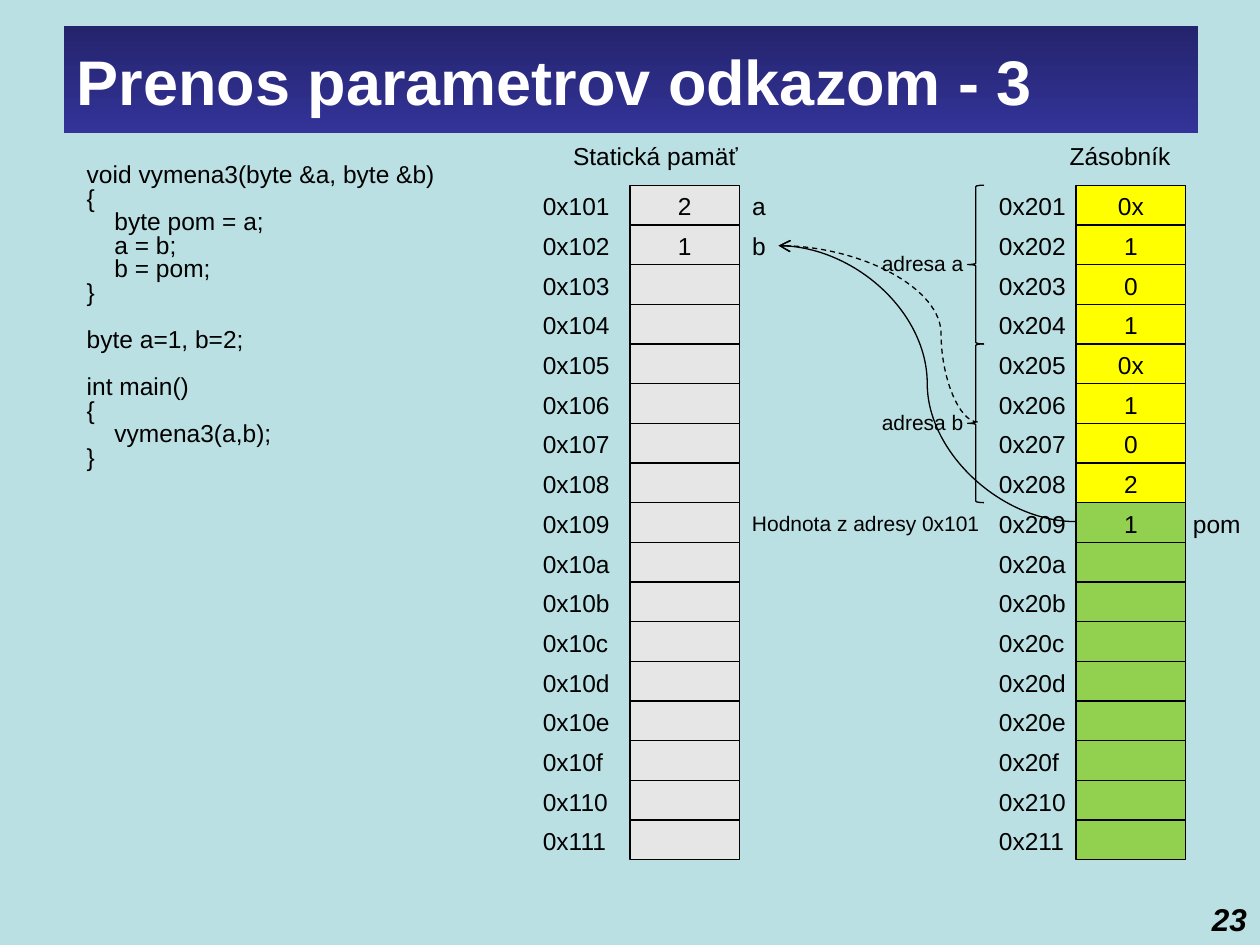
from lxml import etree
from pptx import Presentation
from pptx import util as u
from pptx.dml import color
from pptx.enum import dml, shapes, text
from pptx.oxml import ns

COLORS = {
    "background": "BBE0E3", "title_top": "24246D", "title_bottom": "333399",
    "white": "FFFFFF", "black": "000000",
    "static": "E6E6E6", "address": "FFFF00", "free": "92D050",
}
ROWS = 17
ROW_HEIGHT = 0.315
MEMORY_TOP = 1.07
CELLS_OFFSET = 0.4
CODE = [
    ("void vymena3(byte &a, byte &b)", 0, 0),
    ("{", 0, 0),
    ("byte pom = a;", 1, 0),
    ("a = b;", 1, 0),
    ("b = pom;", 1, 0),
    ("}", 0, 0),
    ("byte a=1, b=2;", 0, 1),
    ("int main()", 0, 1),
    ("{", 0, 0),
    ("vymena3(a,b);", 1, 0),
    ("}", 0, 0),
]


def rgb(name):
    return color.RGBColor.from_string(COLORS[name])


def row_top(row):
    return MEMORY_TOP + CELLS_OFFSET + row * ROW_HEIGHT


def inches(*lengths):
    return [u.Inches(length) for length in lengths]


def write(para, content, size=14, ink="black", bold=False, italic=False, align=text.PP_ALIGN.LEFT):
    para.alignment = align
    span = para.add_run()
    span.text = content
    font = span.font
    font.name, font.size, font.bold, font.italic = "Arial", u.Pt(size), bold, italic
    font.color.rgb = rgb(ink)


def add_label(parent, content, left, top, width, height=0.34, wrap=False, **style):
    box = parent.shapes.add_textbox(*inches(left, top, width, height))
    box.text_frame.word_wrap = wrap
    box.text_frame.auto_size = text.MSO_AUTO_SIZE.SHAPE_TO_FIT_TEXT
    write(box.text_frame.paragraphs[0], content, **style)


def outline(item):
    item.line.color.rgb = rgb("black")
    item.line.width = u.Pt(0.75)


def add_title(page, left, top, width, height):
    title = page.shapes.title
    title.left, title.top, title.width, title.height = inches(left, top, width, height)
    title.fill.gradient()
    title.fill.gradient_angle = 270
    for stop, name in zip(title.fill.gradient_stops, ("title_top", "title_bottom")):
        stop.color.rgb = rgb(name)
    title.text_frame.vertical_anchor = text.MSO_ANCHOR.MIDDLE
    write(title.text_frame.paragraphs[0], "Prenos parametrov odkazom - 3",
          size=36, ink="white", bold=True)


def add_memory(page, left, top, heading, heading_offset, heading_width,
               cell_offset, base, values, fills):
    group = page.shapes.add_group_shape()
    add_label(group, heading, left + heading_offset, top, heading_width)
    for row in range(ROWS):
        y = top + CELLS_OFFSET + row * ROW_HEIGHT
        cell = group.shapes.add_shape(shapes.MSO_SHAPE.RECTANGLE,
                                      *inches(left + cell_offset, y, 0.87, ROW_HEIGHT))
        cell.shadow.inherit = False
        cell.fill.solid()
        cell.fill.fore_color.rgb = rgb(fills[row])
        outline(cell)
        cell.text_frame.vertical_anchor = text.MSO_ANCHOR.TOP
        if row < len(values):
            write(cell.text_frame.paragraphs[0], values[row], align=text.PP_ALIGN.CENTER)
        address = f"0x{base + row:x}"
        add_label(group, address, left, y, 0.68 if address.endswith("f") else 0.73)


def add_code(page, left, top, width, height):
    box = page.shapes.add_textbox(*inches(left, top, width, height))
    frame = box.text_frame
    frame.word_wrap = True
    for index, (line, level, gap) in enumerate(CODE):
        para = frame.paragraphs[0] if index == 0 else frame.add_paragraph()
        para.line_spacing = 0.8
        para.space_before = u.Pt(13.5 * gap)
        para._p.get_or_add_pPr().set("marL", str(u.Inches(0.22 * level)))
        write(para, line)


def add_brace(page, label, left, first_row):
    top = row_top(first_row)
    brace = page.shapes.add_shape(shapes.MSO_SHAPE.LEFT_BRACE,
                                  *inches(left, top, 0.13, 4 * ROW_HEIGHT))
    brace.shadow.inherit = False
    brace.fill.background()
    outline(brace)
    add_label(page, label, left - 0.78, top + 0.47, 0.85, 0.3, size=12)


def add_curve(page, start, end, bend=0.5, dashed=False):
    curve = page.shapes.add_connector(shapes.MSO_CONNECTOR.CURVE, *inches(*start, *end))
    outline(curve)
    if dashed:
        curve.line.dash_style = dml.MSO_LINE.DASH
    etree.SubElement(curve.line._get_or_add_ln(), ns.qn("a:tailEnd"), type="arrow")
    properties = curve._element.spPr
    etree.SubElement(properties, ns.qn("a:effectLst"))
    guides = properties.find(".//" + ns.qn("a:avLst"))
    etree.SubElement(guides, ns.qn("a:gd"), name="adj1", fmla=f"val {round(bend * 100000)}")


def add_references(page, variables_left, braces_left):
    for row, name in enumerate("ab"):
        add_label(page, name, variables_left, row_top(row), 0.31, wrap=True)
        add_brace(page, f"adresa {name}", braces_left, 4 * row)
    add_label(page, "pom", 9.37, row_top(8), 0.63, wrap=True)
    add_label(page, "Hodnota z adresy 0x101", variables_left, row_top(8) + 0.01,
              2.13, 0.3, wrap=True, size=12)
    target = (variables_left + 0.31, 1.95)
    add_curve(page, (8.54, 4.14), target)
    add_curve(page, (7.76, 3.35), target, bend=0.184, dashed=True)


deck = Presentation()
deck.slide_width, deck.slide_height = inches(10, 7.5)
page = deck.slides.add_slide(deck.slide_layouts[5])
page.background.fill.solid()
page.background.fill.fore_color.rgb = rgb("background")

add_title(page, 0.51, 0.21, 9, 0.85)
add_memory(page, 4.21, MEMORY_TOP, "Statická pamäť", 0.24, 1.52, 0.79, 0x101,
           ["2", "1"], ["static"] * ROWS)
add_code(page, 0.59, 1.26, 4.24, 2.55)
add_references(page, 5.87, 7.68)
add_memory(page, 7.83, MEMORY_TOP, "Zásobník", 0.56, 1.01, 0.71, 0x201,
           ["0x", "1", "0", "1", "0x", "1", "0", "2", "1"],
           ["address"] * 8 + ["free"] * (ROWS - 8))
add_label(page, "23", 9.52, 7.09, 0.48, 0.4, size=18, bold=True, italic=True)

deck.save("out.pptx")
